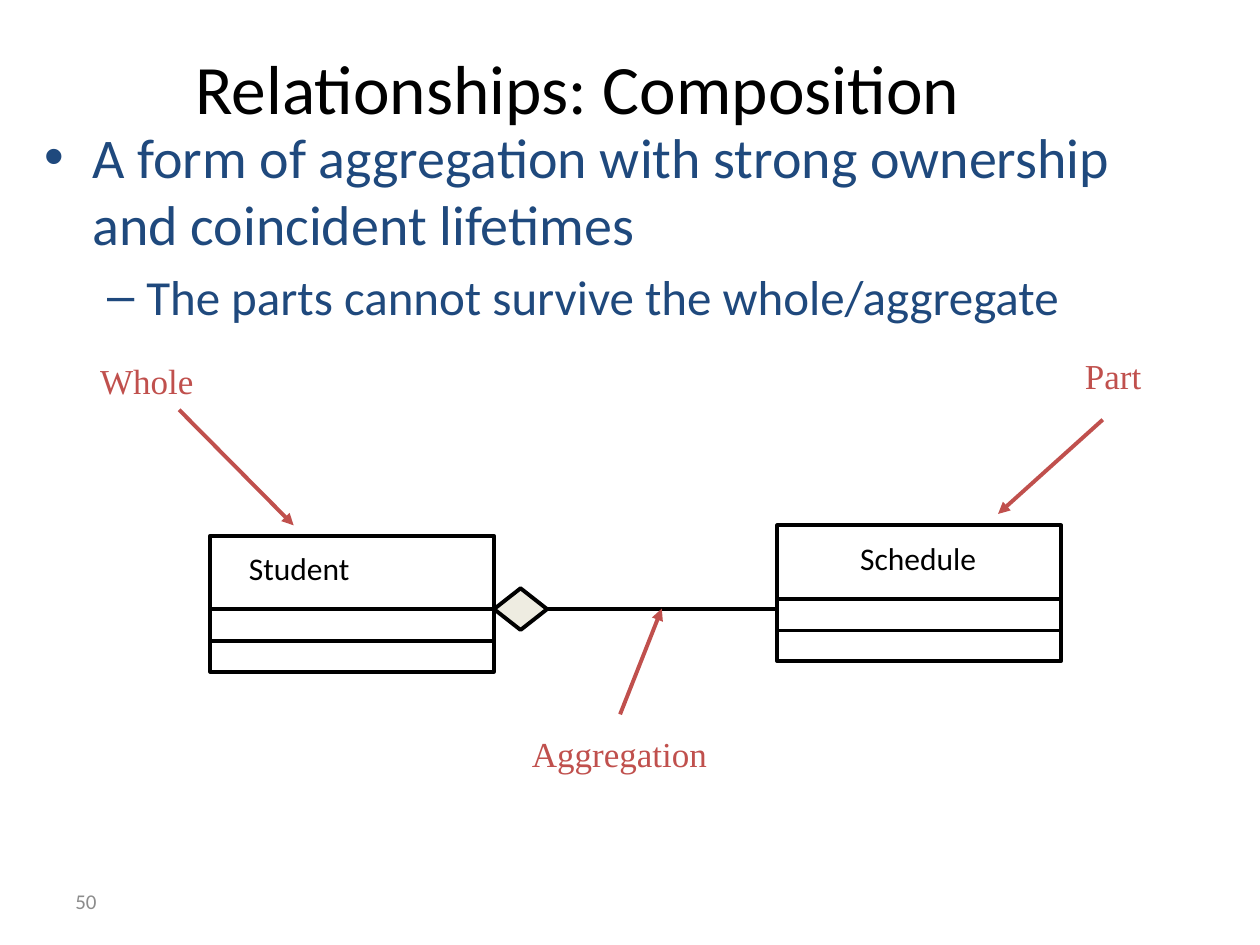
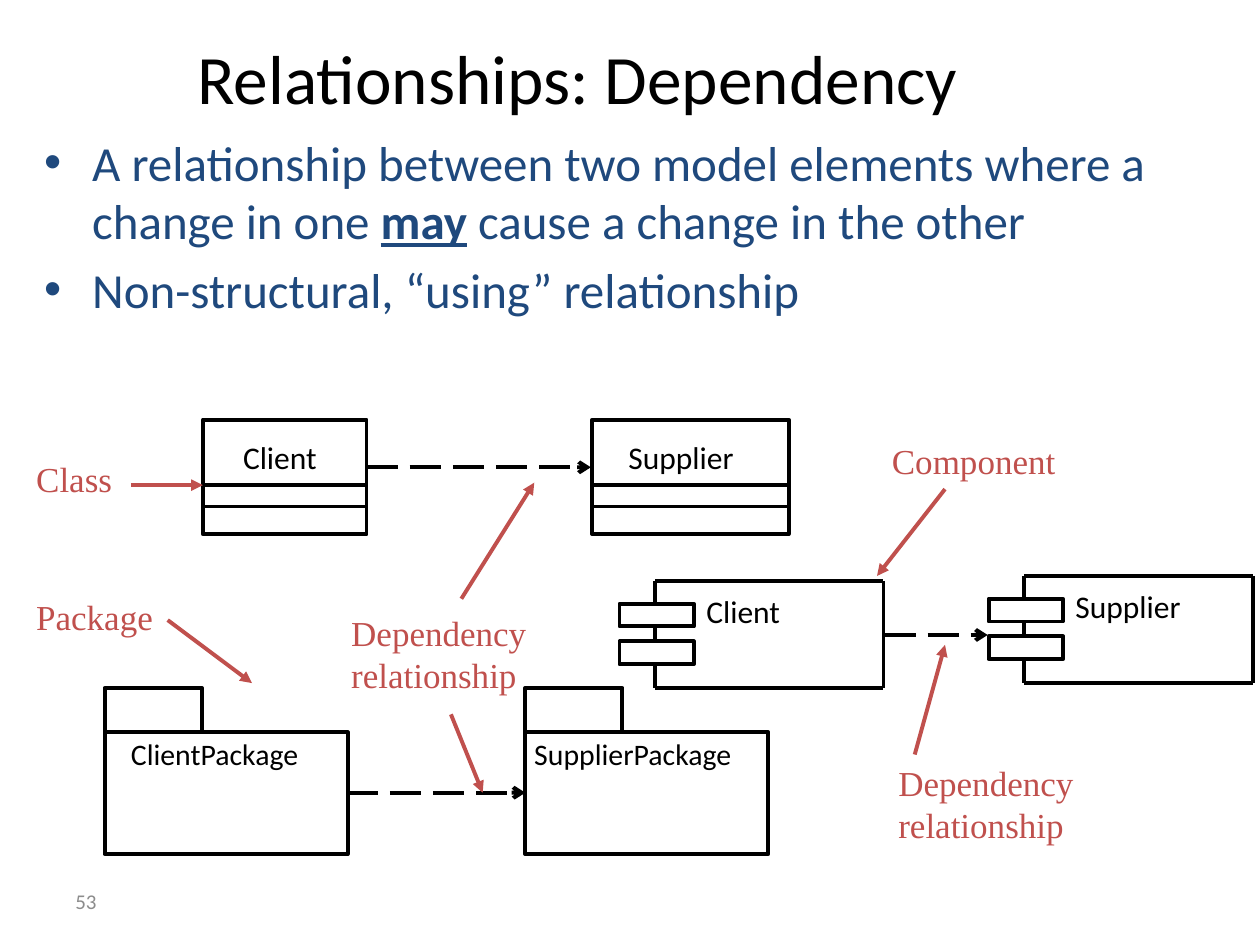
from lxml.etree import SubElement
from pptx import Presentation
from pptx.dml.color import RGBColor
from pptx.enum.dml import MSO_LINE
from pptx.enum.shapes import MSO_CONNECTOR, MSO_SHAPE
from pptx.enum.text import MSO_ANCHOR as ANCHOR
from pptx.enum.text import MSO_AUTO_SIZE as FIT
from pptx.enum.text import PP_ALIGN as ALIGN
from pptx.oxml.ns import qn
from pptx.util import Cm, Pt

BLACK, RED, NAVY, GREY, IVORY = "000000", "C0504D", "1F497D", "8C8C8C", "EEECE1"
STROKE = Pt(2.25)

TITLE = {"name": "Calibri", "size": Pt(39.6)}
ELEMENT = {"name": "Calibri", "size": Pt(18)}
PACKAGE = {"name": "Calibri", "size": Pt(17)}
NOTE = {"name": "Times New Roman", "size": Pt(20)}
NUMBER = {"name": "Calibri", "size": Pt(12)}
EMPHASIS = {"bold": True, "underline": True}

MIDDLE = {"vertical_anchor": ANCHOR.MIDDLE}
HUGGING = {"word_wrap": False, "auto_size": FIT.SHAPE_TO_FIT_TEXT}
TIGHT = {side: 0 for side in ("margin_left", "margin_right", "margin_top", "margin_bottom")}
ROOMY = {"margin_left": Cm(0.3), "margin_right": Cm(0.3),
         "margin_top": Cm(0.15), "margin_bottom": Cm(0.15)}

BULLETS = [("•", 0.97, -0.97), ("–", 2.06, -0.79)]


def rgb(code):
    """Turn a hex string into a colour."""
    return RGBColor.from_string(code)


def apply(target, values):
    """Set every attribute of a dict of format values."""
    for key, value in values.items():
        setattr(target, key, value)


def add_frame(slide, box, layout):
    """Add a wrapping text box and return its text frame."""
    frame = slide.shapes.add_textbox(*map(Cm, box)).text_frame
    apply(frame, {"word_wrap": True, **layout})
    return frame


def add_run(paragraph, words, font, colour):
    """Append one formatted run."""
    run = paragraph.add_run()
    run.text = words
    apply(run.font, font)
    run.font.color.rgb = rgb(colour)


def add_text(slide, words, box, font, colour=BLACK, align=ALIGN.LEFT, layout={}):
    """Add a box holding a single paragraph."""
    paragraph = add_frame(slide, box, layout).paragraphs[0]
    paragraph.alignment = align
    add_run(paragraph, words, font, colour)


def add_note(slide, words, box, align=ALIGN.LEFT):
    """Add a red annotation."""
    add_text(slide, words, box, NOTE, RED, align, ROOMY)


def add_outline(slide, box, kind=MSO_SHAPE.RECTANGLE, fill=None):
    """Add a black-edged shape, hollow unless a fill is given."""
    outline = slide.shapes.add_shape(kind, *map(Cm, box))
    outline.shadow.inherit = False
    apply(outline.line, {"width": STROKE})
    outline.line.color.rgb = rgb(BLACK)
    if fill:
        outline.fill.solid()
        outline.fill.fore_color.rgb = rgb(fill)
    else:
        outline.fill.background()


def add_line(slide, start, end, colour=BLACK, head=None, dash=None):
    """Add a straight line with an optional head at its end."""
    link = slide.shapes.add_connector(MSO_CONNECTOR.STRAIGHT, *map(Cm, start + end))
    link.line.color.rgb = rgb(colour)
    apply(link.line, {"width": STROKE, "dash_style": dash})
    properties = link._element.spPr
    if head:
        SubElement(properties.find(qn("a:ln")), qn("a:tailEnd"), type=head)
    SubElement(properties, qn("a:effectLst"))


def add_pointer(slide, start, end):
    """Add a red arrow from an annotation to its subject."""
    add_line(slide, start, end, RED, "triangle")


def add_dependency(slide, start, end):
    """Add a dashed dependency arrow."""
    add_line(slide, start, end, BLACK, "arrow", MSO_LINE.LONG_DASH)


def add_class(slide, box, dividers):
    """Add a class symbol with its compartment dividers."""
    left, top, width, _ = box
    add_outline(slide, box)
    for offset in dividers:
        add_line(slide, (left, top + offset), (left + width, top + offset))


def add_package(slide, name, left, name_left, name_width):
    """Add a package symbol with its tab and name."""
    top, tab_height = 14.76, 0.89
    add_outline(slide, (left, top, 4.9, 2.46))
    add_outline(slide, (left, top - tab_height, 1.96, tab_height))
    add_text(slide, name, (name_left, 14.83, name_width, 0.71), PACKAGE,
             layout={**HUGGING, **TIGHT})


def add_component(slide, name, left, top, name_width):
    """Add a component symbol whose left edge is broken by two lugs."""
    right, bottom = left + 4.6, top + 2.16
    lug_height, lug_tops = 0.46, (top + 0.46, top + 1.22)
    for lug_top in lug_tops:
        add_outline(slide, (left - 0.72, lug_top, 1.5, lug_height))
    add_line(slide, (right, top), (right, bottom))
    for edge in (top, bottom):
        add_line(slide, (left, edge), (right, edge))
    starts = [top] + [lug_top + lug_height for lug_top in lug_tops]
    for start, end in zip(starts, [*lug_tops, bottom]):
        add_line(slide, (left, start), (left, end))
    add_text(slide, name, (left + 0.78, top + 0.1, name_width, 1.02), ELEMENT, layout=HUGGING)


def add_points(slide, box, points):
    """Add bulleted points given as level, size and runs with emphasis."""
    frame = add_frame(slide, box, {})
    for index, (level, size, runs) in enumerate(points):
        paragraph = frame.add_paragraph() if index else frame.paragraphs[0]
        paragraph.level = level
        if index:
            paragraph.space_before = Pt(5.6)
        mark, margin, indent = BULLETS[level]
        properties = paragraph._p.get_or_add_pPr()
        properties.set("marL", str(Cm(margin)))
        properties.set("indent", str(Cm(indent)))
        SubElement(properties, qn("a:buFont"), typeface="Arial")
        SubElement(properties, qn("a:buChar"), char=mark)
        for words, emphasis in runs:
            add_run(paragraph, words, {"name": "Calibri", "size": Pt(size), **emphasis}, NAVY)


def start_slide(deck, title, title_height, number):
    """Add a blank slide with its title and number."""
    slide = deck.slides.add_slide(deck.slide_layouts[6])
    add_text(slide, number, (1.27, 17.65, 5.92, 1.02), NUMBER, GREY, layout=MIDDLE)
    add_text(slide, title, (1.27, 0.76, 20.75, title_height), TITLE,
             align=ALIGN.CENTER, layout=MIDDLE)
    return slide


def build_composition(deck):
    """Build the composition slide."""
    slide = start_slide(deck, "Relationships: Composition", 1.98, "50")
    add_points(slide, (0.64, 2.34, 22.71, 11.58), [
        (0, 32, [("A form of aggregation with strong ownership and coincident lifetimes", {})]),
        (1, 28, [("The parts cannot survive the whole/aggregate", {})]),
    ])
    for name, left, top, align in [("Student", 4.24, 10.8, ALIGN.LEFT),
                                   ("Schedule", 15.67, 10.59, ALIGN.CENTER)]:
        add_class(slide, (left, top, 5.72, 2.74), (1.48, 2.12))
        add_text(slide, name, (left + 0.53, top + 0.15, 4.62, 1.27), ELEMENT, align=align)
    add_line(slide, (11, 12.27), (15.67, 12.27))
    add_outline(slide, (9.96, 11.86, 1.07, 0.84), MSO_SHAPE.DIAMOND, IVORY)
    for words, left, top, start, end in [
        ("Whole", 0, 7.09, (3.61, 8.26), (5.92, 10.59)),
        ("Aggregation", 9.53, 14.61, (12.5, 14.4), (13.34, 12.27)),
        ("Part", 19.48, 6.99, (22.23, 8.46), (20.12, 10.36)),
    ]:
        add_note(slide, words, (left, top, 5.92, 1.14), ALIGN.CENTER)
        add_pointer(slide, start, end)


def build_dependency(deck):
    """Build the dependency slide."""
    slide = start_slide(deck, "Relationships: Dependency", 1.57, "53")
    add_points(slide, (0.64, 2.54, 22.71, 10.21), [
        (0, 28, [("A relationship between two model elements where a change in one ", {}),
                 ("may", EMPHASIS),
                 (" cause a change in the other", {})]),
        (0, 28, [("Non-structural, “using” relationship", {})]),
    ])
    for name, left, width, name_left, name_width in [("Client", 4.09, 3.3, 4.65, 2.13),
                                                     ("Supplier", 11.94, 3.96, 12.42, 2.84)]:
        add_class(slide, (left, 8.46, width, 2.31), (1.32, 1.75))
        add_text(slide, name, (name_left, 8.71, name_width, 1.02), ELEMENT, layout=HUGGING)
    add_package(slide, "ClientPackage", 2.11, 2.64, 3.89)
    add_package(slide, "SupplierPackage", 10.59, 10.77, 4.55)
    add_component(slide, "Client", 13.21, 11.71, 2.13)
    add_component(slide, "Supplier", 20.65, 11.61, 2.84)
    for start, end, height in [(7.39, 11.91, 9.42), (6.99, 10.59, 15.98), (17.83, 19.91, 12.8)]:
        add_dependency(slide, (start, height), (end, height))
    for words, box in [
        ("Class", (0.43, 9.07, 3.18, 1.14)),
        ("Package", (0.43, 11.86, 3.18, 1.14)),
        ("Component", (17.68, 8.71, 4.11, 1.14)),
        ("Dependency relationship", (6.78, 12.17, 4.65, 1.98)),
        ("Dependency relationship", (17.81, 15.21, 4.65, 1.98)),
    ]:
        add_note(slide, words, box)
    for start, end in [
        ((2.64, 9.78), (4.09, 9.78)),
        ((3.38, 12.5), (5.08, 13.77)),
        ((19.05, 9.86), (17.68, 11.61)),
        ((9.3, 12.07), (10.77, 9.73)),
        ((9.09, 14.4), (9.73, 15.98)),
        ((18.44, 15.21), (19.05, 13)),
    ]:
        add_pointer(slide, start, end)


def main():
    """Build and save the deck."""
    deck = Presentation()
    apply(deck, {"slide_width": Cm(25.4), "slide_height": Cm(19.05)})
    build_composition(deck)
    build_dependency(deck)
    deck.save("out.pptx")


if __name__ == "__main__":
    main()
